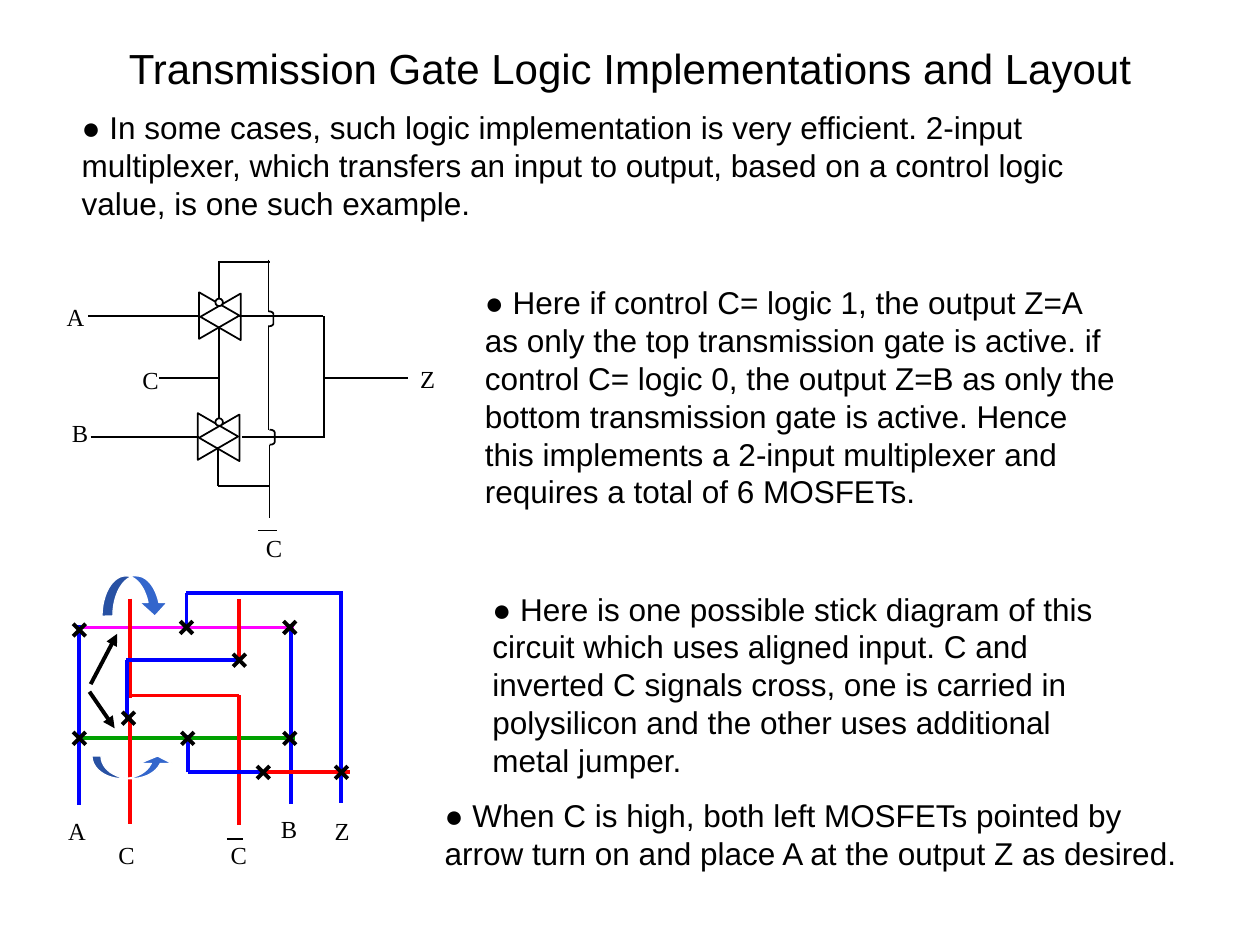
from lxml.etree import SubElement
from pptx import Presentation
from pptx.dml.color import RGBColor
from pptx.enum.shapes import MSO_CONNECTOR, MSO_SHAPE
from pptx.enum.text import PP_ALIGN
from pptx.oxml.ns import qn
from pptx.util import Inches, Pt

BLACK, WHITE, RED, BLUE = "000000", "FFFFFF", "FF0000", "0000FF"
MAGENTA, GREEN, ARROW_BLUE = "FF00FF", "00A000", "3366CC"

# Content: text, (left, top, width, height)
TITLE = ("Transmission Gate Logic Implementations and Layout", (0.36, 0.29, 9.28, 0.5))
NOTES = [
    ("● In some cases, such logic implementation is very efficient. 2-input multiplexer, "
     "which transfers an input to output, based on a control logic value, is one such example.",
     (0.55, 0.81, 8.72, 1)),
    ("● Here if control C= logic 1, the output Z=A as only the top transmission gate is active. "
     "if control C= logic 0, the output Z=B as only the bottom transmission gate is active. "
     "Hence this implements a 2-input multiplexer and requires a total of 6 MOSFETs.",
     (3.75, 2.2, 5.23, 1.9)),
    ("● Here is one possible stick diagram of this circuit which uses aligned input. "
     "C and inverted C signals cross, one is carried in polysilicon and the other uses "
     "additional metal jumper.",
     (3.81, 4.63, 5.23, 1.6)),
    ("● When C is high, both left MOSFETs pointed by arrow turn on and place A at the "
     "output Z as desired.",
     (3.43, 6.27, 6.18, 0.7)),
]

# Signal names: text, left, top
LABELS = [
    ("A", 0.53, 2.4), ("B", 0.57, 3.32), ("C", 1.13, 2.9), ("Z", 3.33, 2.89), ("C", 2.11, 4.23),
    ("A", 0.54, 6.48), ("C", 0.94, 6.67), ("C", 1.83, 6.67), ("B", 2.23, 6.46), ("Z", 2.65, 6.48),
]
OVERBARS = [(2.05, 4.21, 2.2, 4.21), (1.8, 6.66, 1.93, 6.66)]

# Multiplexer circuit: x1, y1, x2, y2
CIRCUIT_WIRES = [
    (0.7, 2.51, 1.59, 2.51), (1.9, 2.51, 2.56, 2.51),
    (0.72, 3.47, 1.58, 3.47), (1.92, 3.47, 2.58, 3.47),
    (2.57, 2.51, 2.57, 3.47), (2.57, 3, 3.24, 3),
    (1.74, 2.07, 1.74, 2.37), (1.74, 2.6, 1.74, 3.32), (1.73, 3.55, 1.73, 3.86),
    (1.26, 3, 1.74, 3), (1.74, 2.08, 2.14, 2.08), (1.73, 3.86, 2.14, 3.86),
    (2.13, 2.06, 2.13, 2.48), (2.13, 2.59, 2.13, 3.41), (2.14, 3.53, 2.14, 4.11),
]
GATES = [(1.58, 2.32), (1.57, 3.28)]
BUBBLES = [(1.71, 2.37), (1.71, 3.32)]
WIRE_HOPS = [(2.13, 2.47), (2.14, 3.41)]

# Stick diagram: colour, x1, y1, x2, y2
STICKS = [
    (MAGENTA, 0.6, 4.98, 2.33, 4.98), (GREEN, 0.61, 5.86, 2.34, 5.86),
    (BLUE, 0.63, 4.96, 0.63, 6.39), (BLUE, 2.31, 4.95, 2.31, 6.38),
    (RED, 1.03, 4.75, 1.03, 5.54), (RED, 1.03, 5.52, 1.9, 5.52),
    (RED, 1.9, 5.52, 1.9, 6.55), (RED, 1.9, 5.25, 1.9, 4.75),
    (RED, 1.03, 5.7, 1.03, 6.54), (RED, 2.11, 6.13, 2.78, 6.13),
    (BLUE, 2.11, 6.13, 1.49, 6.13), (BLUE, 1.49, 6.13, 1.49, 5.83),
    (BLUE, 1.48, 5, 1.48, 4.71), (BLUE, 1.48, 4.71, 2.72, 4.71),
    (BLUE, 2.71, 4.71, 2.71, 6.37), (BLUE, 1.9, 5.24, 1, 5.24),
    (BLUE, 1.01, 5.24, 1.01, 5.72),
]
CONTACTS = [(1.48, 4.98), (2.3, 4.98), (0.63, 5), (1.9, 5.24), (1.02, 5.7),
            (1.49, 5.86), (0.63, 5.86), (2.3, 5.86), (2.09, 6.13), (2.71, 6.13)]
POINTERS = [(0.71, 5.49, 0.91, 5.78), (0.72, 5.43, 0.93, 5.03)]
CURVED_ARROWS = [
    (MSO_SHAPE.CURVED_DOWN_ARROW, (0.81, 4.57, 0.53, 0.32), (0.27, 0.69, 0.34)),
    (MSO_SHAPE.CURVED_UP_ARROW, (0.73, 6, 0.65, 0.18), (0.4, 1.44, 0.33)),
]

presentation = Presentation()
presentation.slide_width, presentation.slide_height = Inches(10), Inches(7.5)
slide = presentation.slides.add_slide(presentation.slide_layouts[6])
shapes = slide.shapes


def color(hex_text):
    return RGBColor.from_string(hex_text)


def add_text(text, box, size, font="Arial", align=PP_ALIGN.LEFT, before=0.0, label=False):
    frame = shapes.add_textbox(*map(Inches, box)).text_frame
    frame.word_wrap = not label
    if label:
        frame.margin_left = frame.margin_right = frame.margin_top = frame.margin_bottom = 0
    paragraph = frame.paragraphs[0]
    paragraph.text = text
    paragraph.alignment = align
    paragraph.space_before = Pt(before)
    paragraph.font.name, paragraph.font.size = font, Pt(size)
    paragraph.font.color.rgb = color(BLACK)


def add_line(x1, y1, x2, y2, line_color=BLACK, width=1.0, arrow=False):
    line = shapes.add_connector(MSO_CONNECTOR.STRAIGHT, *map(Inches, (x1, y1, x2, y2)))
    line.line.color.rgb, line.line.width = color(line_color), Pt(width)
    if arrow:
        SubElement(line.line._get_or_add_ln(), qn("a:tailEnd"), type="triangle")
    SubElement(line._element.spPr, qn("a:effectLst"))


def style(shape, fill=None, line_color=BLACK, width=1.0):
    shape.shadow.inherit = False
    if fill:
        shape.fill.solid()
        shape.fill.fore_color.rgb = color(fill)
    else:
        shape.fill.background()
    shape.line.color.rgb, shape.line.width = color(line_color), Pt(width)


def add_preset(kind, box, adjustments=(), **look):
    shape = shapes.add_shape(kind, *map(Inches, box))
    for index, value in enumerate(adjustments):
        shape.adjustments[index] = value
    style(shape, **look)


def add_triangle(base_x, tip_x, top, height=0.37):
    builder = shapes.build_freeform(Inches(tip_x), Inches(top + height / 2))
    builder.add_line_segments([(Inches(base_x), Inches(y)) for y in (top + height, top)])
    style(builder.convert_to_shape())


# Title and notes
add_text(*TITLE, 24, align=PP_ALIGN.CENTER, before=15)
for text, box in NOTES:
    add_text(text, box, 18, before=11.2)

# Multiplexer circuit
for wire in CIRCUIT_WIRES + OVERBARS:
    add_line(*wire)
for left, top in GATES:
    add_triangle(left, left + 0.32, top)
    add_triangle(left + 0.33, left + 0.01, top + 0.01)
for left, top in BUBBLES:
    add_preset(MSO_SHAPE.OVAL, (left, top, 0.06, 0.06), fill=WHITE)
for left, top in WIRE_HOPS:
    add_preset(MSO_SHAPE.RIGHT_BRACKET, (left, top, 0.04, 0.12), (0.5,))

# Stick diagram with crossed contacts
for stick_color, *ends in STICKS:
    add_line(*ends, stick_color, 2.25)
ARM = 0.05
for x, y in CONTACTS:
    for rise in (ARM, -ARM):
        add_line(x - ARM, y + rise, x + ARM, y - rise, width=2.25)

# Signal names
for text, left, top in LABELS:
    add_text(text, (left, top, 0.13, 0.23), 14, "Times New Roman", PP_ALIGN.CENTER, label=True)

# Pointers and curved arrows
for pointer in POINTERS:
    add_line(*pointer, width=2.25, arrow=True)
for kind, box, adjustments in CURVED_ARROWS:
    add_preset(kind, box, adjustments, fill=ARROW_BLUE, line_color=WHITE, width=0.75)

presentation.save("out.pptx")
